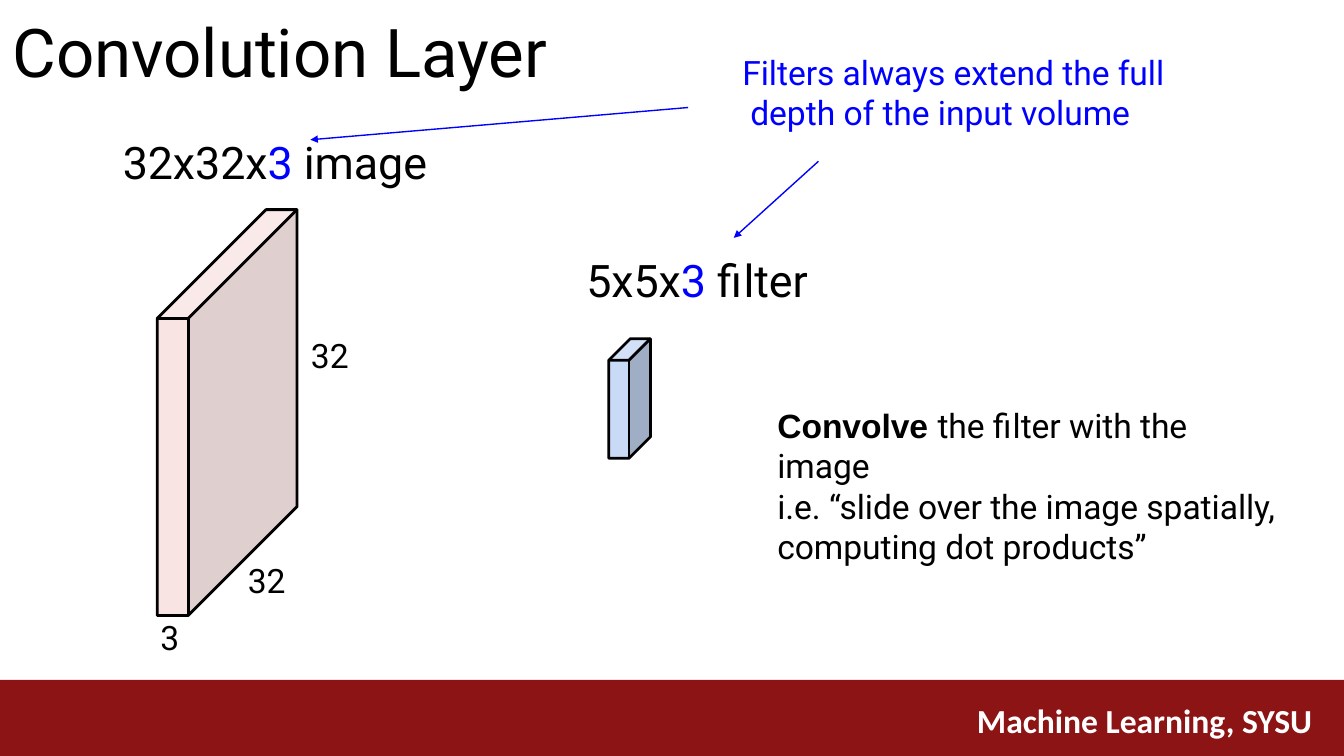
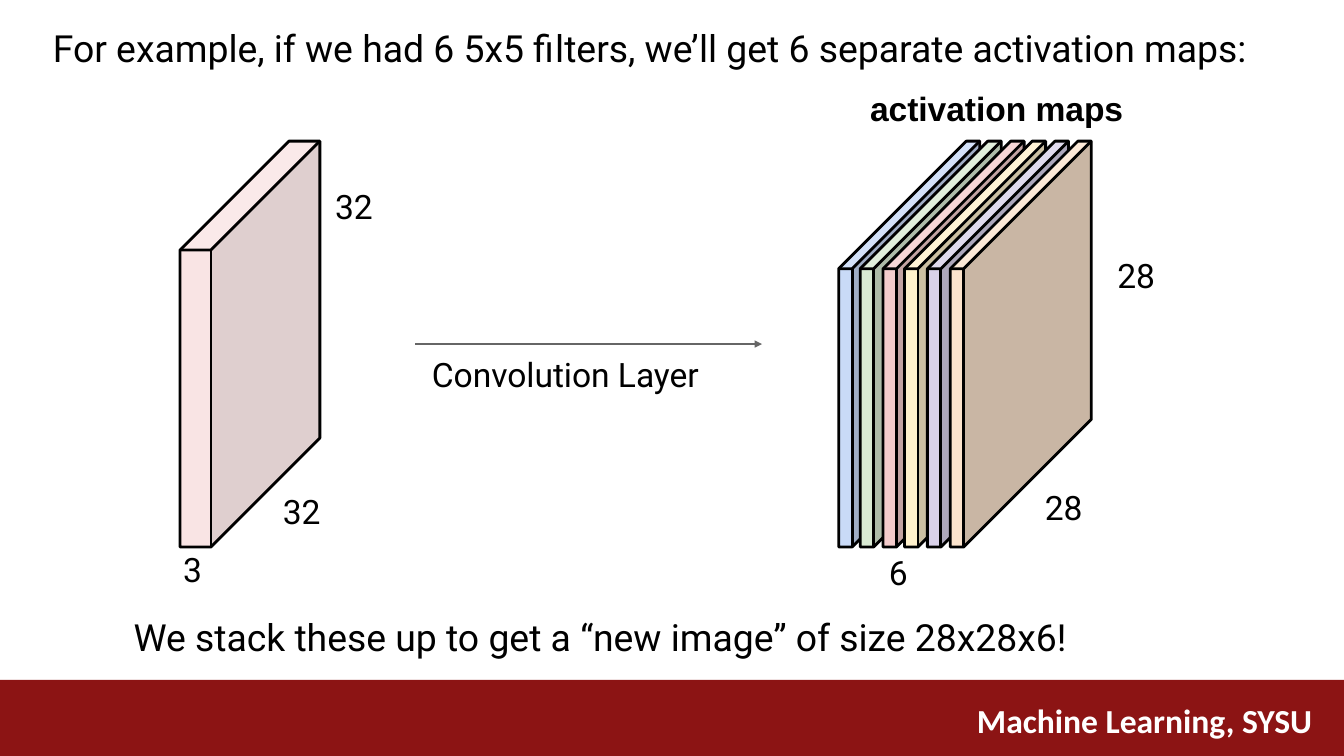
from lxml.etree import SubElement as Sub
from pptx import Presentation
from pptx.dml.color import RGBColor as RGB
from pptx.enum.shapes import MSO_CONNECTOR as Link, MSO_SHAPE as Kind
from pptx.enum.text import PP_ALIGN as Align
from pptx.oxml.ns import qn
from pptx.util import Pt

PX = 9144  # 100 px to the inch
WIDE, HIGH = 1000, 562

BLACK = RGB(0x00, 0x00, 0x00)
WHITE = RGB(0xFF, 0xFF, 0xFF)
BLUE = RGB(0x00, 0x00, 0xFF)
GREY = RGB(0x66, 0x66, 0x66)
MAROON = RGB(0x8C, 0x14, 0x14)
ROSE = RGB(0xF4, 0xCC, 0xCC)
SKY = RGB(0xC9, 0xDA, 0xF7)
GREEN = RGB(0xD9, 0xEA, 0xD3)
CREAM = RGB(0xFF, 0xF1, 0xCC)
LILAC = RGB(0xD9, 0xD1, 0xE9)
PEACH = RGB(0xFC, 0xE4, 0xCD)
MAPS = [SKY, GREEN, ROSE, CREAM, LILAC, PEACH]


def scale(*sizes):
    return [size * PX for size in sizes]


def blend(color, other):
    """Mix a fifth of the other colour into the colour."""
    return RGB(*((4 * a + b) // 5 for a, b in zip(color, other)))


def style(run, size, color, face="Roboto", bold=False):
    font = run.font
    font.size, font.name, font.bold = Pt(size), face, bold
    font.color.rgb = color


def write(slide, box, lines, size=18, color=BLACK, align=Align.LEFT):
    """Write lines, each a list of runs: a string or (string, style changes)."""
    frame = slide.shapes.add_textbox(*scale(*box)).text_frame
    frame.word_wrap = True
    frame.margin_left = frame.margin_top = Pt(1)
    frame.margin_right = frame.margin_bottom = 0
    for row, parts in enumerate(lines):
        para = frame.add_paragraph() if row else frame.paragraphs[0]
        para.alignment = align
        para.space_before = Pt(0 if row else 1)
        for part in parts:
            text, extra = (part, {}) if isinstance(part, str) else part
            run = para.add_run()
            run.text = text
            style(run, **({"size": size, "color": color} | extra))
            run.font._element.set("spc", "-4")
    return frame


def hang(para, size):
    """Indent every line of the paragraph but the first."""
    props = para._p.get_or_add_pPr()
    props.set("marL", str(size * PX))
    props.set("indent", str(-size * PX))


def footer(slide, box):
    left, top, wide, high = box
    band = slide.shapes.add_shape(Kind.RECTANGLE, *scale(*box))
    band.shadow.inherit = False
    band.fill.solid()
    band.fill.fore_color.rgb = MAROON
    band.line.fill.background()
    spot = scale(left + wide - 283, top + 10, 275, 40)
    frame = slide.shapes.add_textbox(*spot).text_frame
    frame.word_wrap = True
    frame.text = "Machine Learning, SYSU"
    style(frame.paragraphs[0].runs[0], 18, WHITE, "Calibri", True)


def arrow(slide, start, end, color):
    link = slide.shapes.add_connector(Link.STRAIGHT, *scale(*start, *end))
    link.line.color.rgb = color
    link.line.width = Pt(0.75)
    line = link.line._get_or_add_ln()
    Sub(line, qn("a:tailEnd"), type="triangle", w="sm", len="sm")
    Sub(link._element.spPr, qn("a:effectLst"))


def trace(slide, *lines):
    """Draw one shape from lines of points; a line closes on its own start."""
    form = slide.shapes.build_freeform(*lines[0][0], scale=PX)
    for turn, line in enumerate(lines):
        if turn:
            form.move_to(*line[0])
        form.add_line_segments(line[1:], close=line[0] == line[-1])
    shape = form.convert_to_shape()
    shape.shadow.inherit = False
    return shape


def face(slide, points, color, alpha):
    shape = trace(slide, points + points[:1])
    shape.line.fill.background()
    shape.fill.solid()
    shape.fill.fore_color.rgb = color
    if alpha < 100:
        tone = shape.fill._xPr.find(".//" + qn("a:srgbClr"))
        Sub(tone, qn("a:alpha"), val=str(alpha * 1000))


def block(slide, box, depth, color, alpha=100):
    """Draw a box seen from the left, its far side set back by depth."""
    left, top, wide, high = box
    right, base = left + wide, top + high
    edge, brow = right - depth, top + depth
    near, far = (left, brow), (left + depth, top)
    mid, peak = (edge, brow), (right, top)
    low, foot, heel = (left, base), (edge, base), (right, base - depth)
    face(slide, [foot, low, near, mid], color, alpha)
    face(slide, [foot, mid, peak, heel], blend(color, BLACK), alpha)
    face(slide, [mid, near, far, peak], blend(color, WHITE), alpha)
    frame = trace(slide, [near, far, peak, heel, foot, low, near],
                  [near, mid, peak], [mid, foot])
    frame.fill.background()
    frame.line.color.rgb = BLACK
    frame.line.width = Pt(1.5)


def labels(slide, box, marks):
    """Write each mark at its offset from the corner of the box."""
    for text, right, down in marks:
        spot = (box[0] + right, box[1] + down, 3 + 14 * len(text), 33)
        write(slide, spot, [[text]])


def volume(slide, box, marks):
    block(slide, box, 81, ROSE, 52)
    labels(slide, box, marks)


def stack(slide, box):
    left, top, wide, high = box
    last = len(MAPS) - 1
    thick = 105
    for turn, color in enumerate(MAPS):
        shift = turn * (wide - thick) // last
        block(slide, (left + shift, top, thick, high), 95, color)
    labels(slide, box, [("6", 36, 304), ("28", 152, 256), ("28", 206, 83)])
    bold = {"face": "Arial", "bold": True}
    write(slide, (left + 22, top - 41, 192, 33), [[("activation maps", bold)]])


def caption(slide, box, size, noun, align):
    parts = [size, ("3", {"color": BLUE}), " " + noun]
    write(slide, box, [parts], 24, align=align)


def layer(slide):
    write(slide, (8, 6, 406, 63), [["Convolution Layer"]], 36)
    caption(slide, (90, 99, 240, 42), "32x32x", "image", Align.LEFT)
    volume(slide, (117, 156, 104, 302),
           [("32", 113, 92), ("32", 66, 259), ("3", 1, 302)])
    caption(slide, (418, 187, 200, 42), "5x5x", "filter", Align.CENTER)
    block(slide, (453, 252, 31, 89), 16, SKY)
    note = write(slide, (551, 37, 316, 63),
                 [["Filters always extend the full "
                   "depth of the input volume"]], color=BLUE)
    hang(note.paragraphs[0], 6)
    arrow(slide, (609, 120), (546, 177), BLUE)
    arrow(slide, (512, 80), (231, 104), BLUE)
    bold = {"face": "Arial", "bold": True}
    write(slide, (577, 300, 375, 122),
          [[("Convolve ", bold), "the filter with the image"],
           ["i.e. “slide over the image spatially, computing dot products”"]])


def example(slide):
    write(slide, (38, 17, 900, 36),
          [["For example, if we had 6 5x5 filters, "
            "we’ll get 6 separate activation maps:"]], 20)
    volume(slide, (134, 105, 104, 302),
           [("32", 114, 32), ("32", 75, 259), ("3", 1, 302)])
    arrow(slide, (309, 256), (567, 256), GREY)
    write(slide, (320, 262, 204, 33), [["Convolution Layer"]])
    stack(slide, (624, 105, 188, 302))
    write(slide, (98, 456, 704, 36),
          [["We stack these up to get a “new image” of size 28x28x6!"]], 20)


def main():
    deck = Presentation()
    deck.slide_width = WIDE * PX
    deck.slide_height = deck.slide_width * 9 // 16
    for build in (layer, example):
        slide = deck.slides.add_slide(deck.slide_layouts[6])
        footer(slide, (0, 506, WIDE, HIGH - 505))
        build(slide)
    deck.save("out.pptx")


if __name__ == "__main__":
    main()
